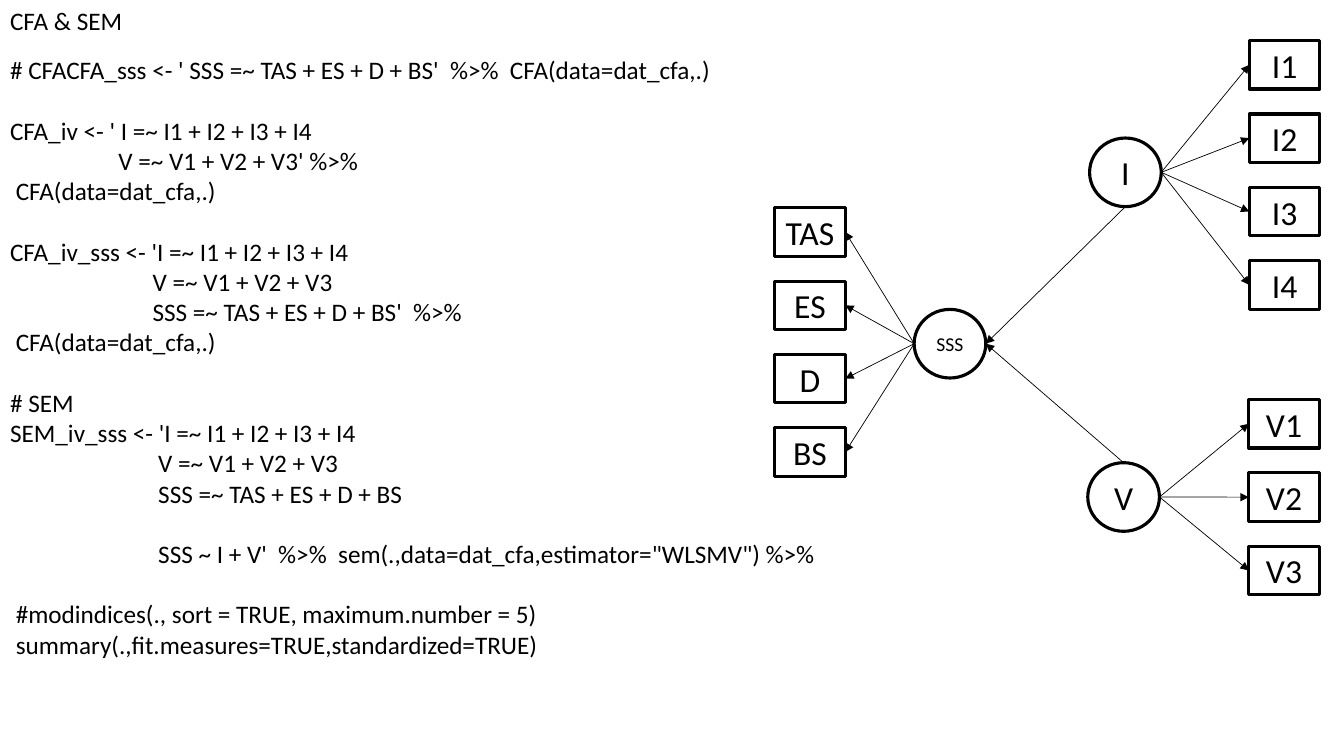
from lxml import etree
from pptx import Presentation
from pptx.dml.color import RGBColor
from pptx.enum import shapes, text
from pptx.oxml import ns
from pptx.util import Pt

BLACK = RGBColor(0, 0, 0)
FONT = "Calibri"
LINE_GAP = 21.6
SPACE_WIDTH = 4.07
CIRCLE_SIZE = (51.2, 49)
BOX_SIZE = (50.4, 34.6)
BOX_PITCH = 52.4
SITES = {
    "oval": {"top": 0, "left": 2, "bottom": 4, "right": 6},
    "box": {"top": 0, "left": 1, "bottom": 2, "right": 3},
}

CODE = [
    (0, 0, "# CFACFA_sss <- ' SSS =~ TAS + ES + D + BS'  %>%  CFA(data=dat_cfa,.)"),
    (1, 0, "CFA_iv <- ' I =~ I1 + I2 + I3 + I4"),
    (0, 19, "V =~ V1 + V2 + V3' %>%"),
    (0, 1, "CFA(data=dat_cfa,.)"),
    (1, 0, "CFA_iv_sss <- 'I =~ I1 + I2 + I3 + I4"),
    (0, 25, "V =~ V1 + V2 + V3"),
    (0, 25, "SSS =~ TAS + ES + D + BS'  %>%"),
    (0, 1, "CFA(data=dat_cfa,.)"),
    (1, 0, "# SEM"),
    (0, 0, "SEM_iv_sss <- 'I =~ I1 + I2 + I3 + I4"),
    (0, 26, "V =~ V1 + V2 + V3"),
    (0, 26, "SSS =~ TAS + ES + D + BS"),
    (1, 26, "SSS ~ I + V'  %>%  sem(.,data=dat_cfa,estimator=\"WLSMV\") %>%"),
    (1, 1, "#modindices(., sort = TRUE, maximum.number = 5)"),
    (0, 1, "summary(.,fit.measures=TRUE,standardized=TRUE)"),
]


def write(para, words, size=18, align=text.PP_ALIGN.LEFT, before=0, indent=0):
    para.alignment = align
    para.space_before = Pt(before)
    para.space_after = Pt(0)
    props = para._p.get_or_add_pPr()
    props.set("marL", str(Pt(indent)))
    props.set("indent", "0")
    etree.SubElement(props, ns.qn("a:buNone"))
    span = para.add_run()
    span.text = words
    span.font.name = FONT
    span.font.size = Pt(size)
    span.font.color.rgb = BLACK


def place(holder, left, top, width, height):
    holder.left, holder.top = Pt(left), Pt(top)
    holder.width, holder.height = Pt(width), Pt(height)
    frame = holder.text_frame
    frame.word_wrap = True
    frame.auto_size = text.MSO_AUTO_SIZE.NONE
    frame.vertical_anchor = text.MSO_ANCHOR.TOP
    return frame


def add_code(holder):
    frame = place(holder, 0, 35.3, 592, 422)
    for number, (gaps, spaces, words) in enumerate(CODE):
        para = frame.add_paragraph() if number else frame.paragraphs[0]
        write(para, words, before=gaps * LINE_GAP, indent=spaces * SPACE_WIDTH)


def add_node(page, preset, label, left, top, dimensions, size=24):
    width, height = dimensions
    node = page.shapes.add_shape(preset, Pt(left), Pt(top), Pt(width), Pt(height))
    node.shadow.inherit = False
    node.fill.background()
    node.line.color.rgb = BLACK
    node.line.width = Pt(2.25)
    frame = node.text_frame
    frame.word_wrap = False
    frame.vertical_anchor = text.MSO_ANCHOR.MIDDLE
    write(frame.paragraphs[0], label, size=size, align=text.PP_ALIGN.CENTER)
    return node


def add_factor(page, label, left, top, size=24):
    return add_node(page, shapes.MSO_SHAPE.OVAL, label, left, top, CIRCLE_SIZE, size)


def site(node, side):
    across = {"left": 0, "right": node.width}.get(side, node.width // 2)
    down = {"top": 0, "bottom": node.height}.get(side, node.height // 2)
    kind = "oval" if node.auto_shape_type == shapes.MSO_SHAPE.OVAL else "box"
    return (node.left + across, node.top + down), SITES[kind][side]


def add_arrow(page, source, source_side, target, target_side):
    start, start_site = site(source, source_side)
    end, end_site = site(target, target_side)
    arrow = page.shapes.add_connector(shapes.MSO_CONNECTOR.STRAIGHT, *start, *end)
    arrow.line.color.rgb = BLACK
    arrow.line.width = Pt(0.5)
    etree.SubElement(arrow.line._get_or_add_ln(), ns.qn("a:tailEnd"), type="triangle")
    etree.SubElement(arrow._element.spPr, ns.qn("a:effectLst"))
    links = arrow._element.nvCxnSpPr.cNvCxnSpPr
    for tag, node, index in (("a:stCxn", source, start_site), ("a:endCxn", target, end_site)):
        etree.SubElement(links, ns.qn(tag), id=str(node.shape_id), idx=str(index))


def add_indicators(page, factor, labels, left, top, side, facing):
    for row, label in enumerate(labels):
        box = add_node(page, shapes.MSO_SHAPE.RECTANGLE, label,
                       left, top + row * BOX_PITCH, BOX_SIZE)
        add_arrow(page, factor, side, box, facing)


def main():
    deck = Presentation()
    deck.slide_width, deck.slide_height = Pt(960), Pt(540)
    page = deck.slides.add_slide(deck.slide_layouts[1])
    title, body = page.placeholders
    write(place(title, 0, 0, 420, 29).paragraphs[0], "CFA & SEM")
    add_code(body)

    intensity = add_factor(page, "I", 778.3, 98.6)
    variety = add_factor(page, "V", 777, 330.5)
    seeking = add_factor(page, "SSS", 653, 221, size=14)
    add_indicators(page, intensity, ["I1", "I2", "I3", "I4"], 892.4, 29, "right", "left")
    add_indicators(page, variety, ["V1", "V2", "V3"], 892, 285.4, "right", "left")
    add_indicators(page, seeking, ["TAS", "ES", "D", "BS"], 553.4, 148.4, "left", "right")
    add_arrow(page, intensity, "bottom", seeking, "right")
    add_arrow(page, variety, "top", seeking, "right")
    deck.save("out.pptx")


main()
